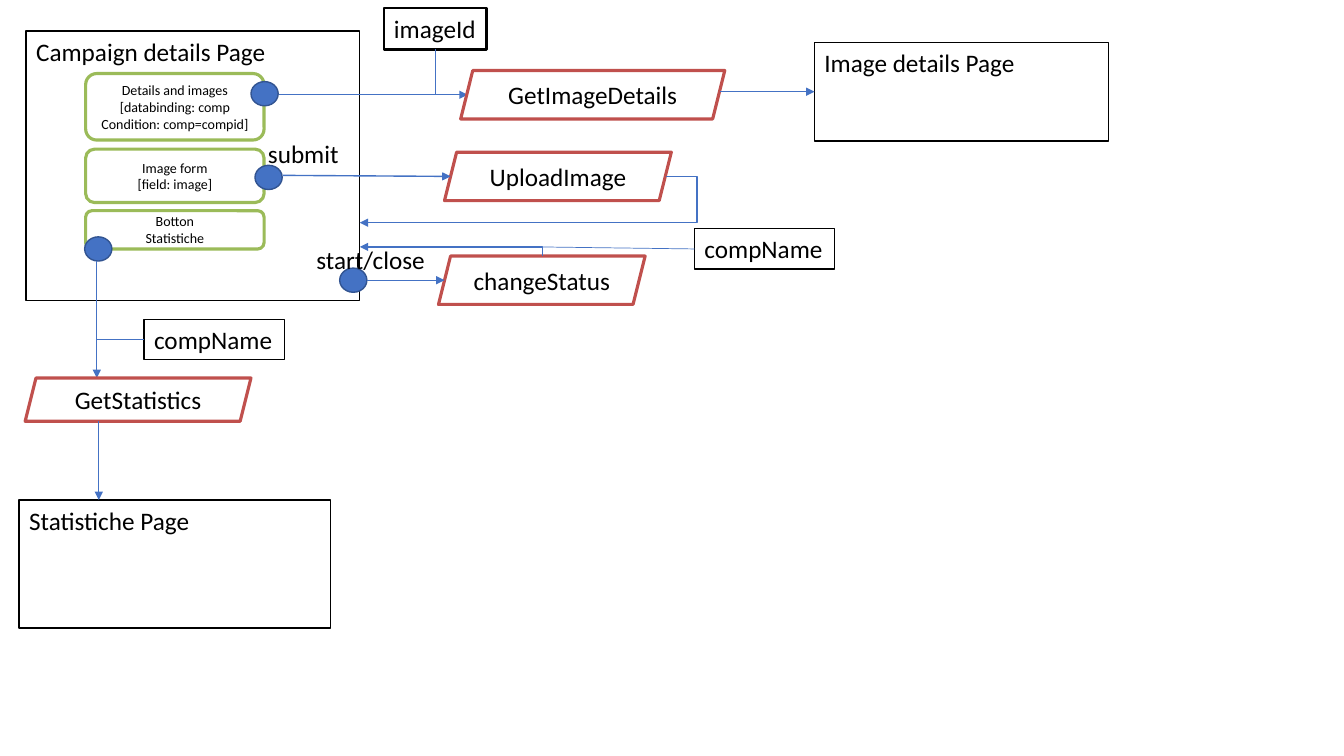
from dataclasses import dataclass

from lxml import etree
from pptx import Presentation
from pptx.dml.color import RGBColor
from pptx.enum.shapes import MSO_CONNECTOR, MSO_SHAPE
from pptx.enum.text import MSO_ANCHOR, MSO_AUTO_SIZE, PP_ALIGN
from pptx.oxml.ns import qn
from pptx.util import Inches, Pt

RECTANGLE = MSO_SHAPE.RECTANGLE
ROUNDED = MSO_SHAPE.ROUNDED_RECTANGLE
PARALLELOGRAM = MSO_SHAPE.PARALLELOGRAM
OVAL = MSO_SHAPE.OVAL
STRAIGHT, ELBOW = MSO_CONNECTOR.STRAIGHT, MSO_CONNECTOR.ELBOW
TOP, MIDDLE = MSO_ANCHOR.TOP, MSO_ANCHOR.MIDDLE
LEFT, CENTER = PP_ALIGN.LEFT, PP_ALIGN.CENTER
FIT = MSO_AUTO_SIZE.SHAPE_TO_FIT_TEXT
BOTTOM_SIDE, LEFT_SIDE = 2, 1
CELL = Inches(0.1)
COLUMNS, ROWS = 133.33, 75


@dataclass(frozen=True)
class Theme:
    """Colours, font and sizes of the diagram."""
    font: str = "Calibri"
    ink: str = "000000"
    paper: str = "FFFFFF"
    component: str = "9BBB59"
    action: str = "C0504D"
    event: str = "4472C4"
    event_edge: str = "325491"
    title: float = 18
    detail: float = 10
    thin: float = 0.5
    normal: float = 1
    bold: float = 2.25


THEME = Theme()


@dataclass(frozen=True)
class Box:
    """An area of the slide, measured in grid cells."""
    left: float
    top: float
    width: float
    height: float

    def inner(self, left, top, width, height):
        """Return an area placed relative to this one."""
        return Box(self.left + left, self.top + top, width, height)

    def point(self, left, top):
        """Return a grid point placed relative to this area."""
        return self.left + left, self.top + top


def cells(*values):
    """Turn grid cells into slide lengths."""
    return [round(value * CELL) for value in values]


def write_text(shape, text, size=THEME.title, align=LEFT, anchor=TOP, wrap=True, fit=False):
    """Write one paragraph per line of text into a shape."""
    frame = shape.text_frame
    frame.word_wrap = wrap
    frame.vertical_anchor = anchor
    if fit:
        frame.auto_size = FIT
    frame.text = text
    for paragraph in frame.paragraphs:
        paragraph.alignment = align
        paragraph.font.name = THEME.font
        paragraph.font.size = Pt(size)
        paragraph.font.color.rgb = RGBColor.from_string(THEME.ink)


def add_box(slide, kind, box, line, width=THEME.normal, fill=THEME.paper, text="", **text_format):
    """Draw a filled preset shape, with text if there is any."""
    shape = slide.shapes.add_shape(kind, *cells(box.left, box.top, box.width, box.height))
    shape.shadow.inherit = False
    shape.fill.solid()
    shape.fill.fore_color.rgb = RGBColor.from_string(fill)
    shape.line.color.rgb = RGBColor.from_string(line)
    shape.line.width = Pt(width)
    if text:
        write_text(shape, text, **text_format)
    return shape


def add_page(slide, box, title):
    """Draw a page of the application."""
    return add_box(slide, RECTANGLE, box, THEME.ink, text=title)


def add_component(slide, box, text):
    """Draw a component inside a page."""
    add_box(slide, ROUNDED, box, THEME.component, THEME.bold, text=text,
            size=THEME.detail, align=CENTER, anchor=MIDDLE)


def add_action(slide, box, name):
    """Draw an action."""
    add_box(slide, PARALLELOGRAM, box, THEME.action, THEME.bold, text=name,
            align=CENTER, anchor=MIDDLE)


def add_parameter(slide, box, name, width=THEME.normal):
    """Draw the box of a passed parameter."""
    return add_box(slide, RECTANGLE, box, THEME.ink, width, text=name, wrap=False, fit=True)


def add_event(slide, box, left, top):
    """Draw the dot that starts a flow."""
    add_box(slide, OVAL, box.inner(left, top, 2.7, 2.4), THEME.event_edge, fill=THEME.event)


def add_label(slide, box, text):
    """Write the name of an event."""
    label = slide.shapes.add_textbox(*cells(box.left, box.top, box.width, box.height))
    write_text(label, text, fit=True)


def add_link(slide, start, end, kind=STRAIGHT, width=THEME.normal, arrow=True):
    """Draw a connector between two grid points."""
    link = slide.shapes.add_connector(kind, *cells(*start, *end))
    link.line.color.rgb = RGBColor.from_string(THEME.event)
    link.line.width = Pt(width)
    if arrow:
        etree.SubElement(link.line._get_or_add_ln(), qn("a:tailEnd"), type="triangle")
    etree.SubElement(link.element.spPr, qn("a:effectLst"))
    return link


def add_return_around(slide, start, end, bend):
    """Draw a connector that bends twice, at a share of its width."""
    link = add_link(slide, start, end, ELBOW)
    adjustments = link.element.spPr.find(qn("a:prstGeom")).get_or_add_avLst()
    etree.SubElement(adjustments, qn("a:gd"), name="adj1", fmla=f"val {round(bend * 100000)}")


def add_return_up(slide, start, end):
    """Draw a connector that goes up and then left."""
    middle_x, middle_y = (start[0] + end[0]) / 2, (start[1] + end[1]) / 2
    across, along = (start[1] - end[1]) / 2, (start[0] - end[0]) / 2
    link = add_link(slide, (middle_x - across, middle_y + along),
                    (middle_x + across, middle_y - along), ELBOW)
    link.element.spPr.find(qn("a:xfrm")).set("rot", str(270 * 60000))
    link.element.spPr.find(qn("a:prstGeom")).set("prst", "bentConnector2")


def draw_campaign_page(slide, box):
    """Draw the campaign page and its three components."""
    add_page(slide, box, "Campaign details Page")
    components = [
        (4.2, 6.6, "Details and images\n[databinding: comp\nCondition: comp=compid]"),
        (11.7, 5.3, "Image form\n[field: image]"),
        (17.8, 3.8, "Botton\nStatistiche"),
    ]
    for top, height, text in components:
        add_component(slide, box.inner(5.9, top, 17.7, height), text)


def draw_image_flow(slide, box):
    """Draw the flow that opens the image page."""
    add_event(slide, box, 0, 7.3)
    page = add_page(slide, box.inner(55.9, 3.4, 29.2, 9.8), "Image details Page")
    add_link(slide, box.point(2.8, 8.6), box.point(21.5, 8.6))
    add_action(slide, box.inner(20.8, 6.2, 26.2, 4.8), "GetImageDetails")
    parameter = add_parameter(slide, box.inner(13.2, 0, 10.2, 4.1), "imageId", 2)
    passing = add_link(slide, box.point(18.3, 4.1), box.point(18.3, 8.6),
                       width=THEME.thin, arrow=False)
    passing.begin_connect(parameter, BOTTOM_SIDE)
    opening = add_link(slide, box.point(46.5, 8.3), box.point(55.9, 8.3))
    opening.end_connect(page, LEFT_SIDE)


def draw_upload_flow(slide, box):
    """Draw the flow that uploads an image and returns."""
    add_action(slide, box.inner(18.8, 1.9, 22.5, 4.8), "UploadImage")
    add_event(slide, box, 0, 3.2)
    add_link(slide, box.point(2.8, 4.2), box.point(19.4, 4.3))
    add_label(slide, box.inner(0.3, 0, 12.5, 4), "submit")
    add_return_around(slide, box.point(40.8, 4.3), box.point(10.4, 8.9), -0.1)


def draw_status_flow(slide, box):
    """Draw the flow that changes the status and returns."""
    add_event(slide, box, 3.3, 3.9)
    add_label(slide, box.inner(0, 1, 20.5, 4), "start/close")
    add_action(slide, box.inner(13.1, 2.7, 20.5, 4.8), "changeStatus")
    add_link(slide, box.point(6, 5.1), box.point(13.7, 5.1))
    add_return_up(slide, box.point(23.4, 2.7), box.point(5.3, 1.8))
    parameter = add_parameter(slide, box.inner(38.5, 0, 13.9, 4), "compName")
    passing = add_link(slide, box.point(38.5, 2), box.point(23.4, 1.8),
                       width=THEME.thin, arrow=False)
    passing.begin_connect(parameter, LEFT_SIDE)


def draw_statistics_flow(slide, box):
    """Draw the flow that opens the statistics page."""
    add_page(slide, box.inner(0, 26.1, 30.9, 12.7), "Statistiche Page")
    add_event(slide, box, 6.5, 0)
    add_link(slide, box.point(7.7, 2.4), box.point(7.7, 14))
    add_action(slide, box.inner(0.6, 14, 22.4, 4.3), "GetStatistics")
    add_link(slide, box.point(7.9, 18.3), box.point(7.9, 26.1))
    parameter = add_parameter(slide, box.inner(12.4, 8.2, 13.9, 4), "compName")
    passing = add_link(slide, box.point(12.4, 10.2), box.point(7.7, 10.2),
                       width=THEME.thin, arrow=False)
    passing.begin_connect(parameter, LEFT_SIDE)


def main():
    """Build the slide and save it."""
    presentation = Presentation()
    presentation.slide_width, presentation.slide_height = cells(COLUMNS, ROWS)
    slide = presentation.slides.add_slide(presentation.slide_layouts[6])
    draw_campaign_page(slide, Box(2.6, 3.1, 33.1, 26.7))
    draw_image_flow(slide, Box(24.9, 0.8, 85.1, 13.2))
    draw_upload_flow(slide, Box(25.3, 13.2, 43.9, 8.9))
    draw_status_flow(slide, Box(30.4, 22.7, 52.4, 7.5))
    draw_statistics_flow(slide, Box(1.9, 23.5, 30.9, 38.8))
    presentation.save("out.pptx")


if __name__ == "__main__":
    main()
